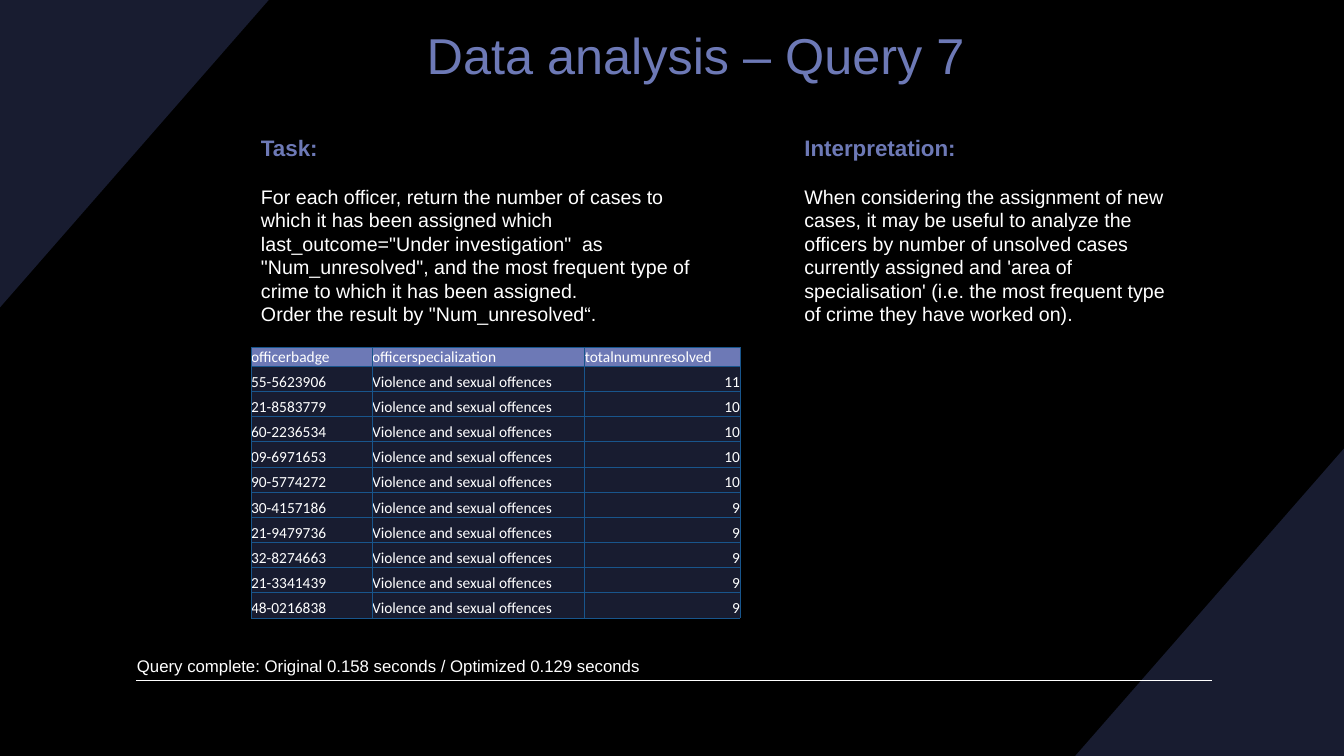
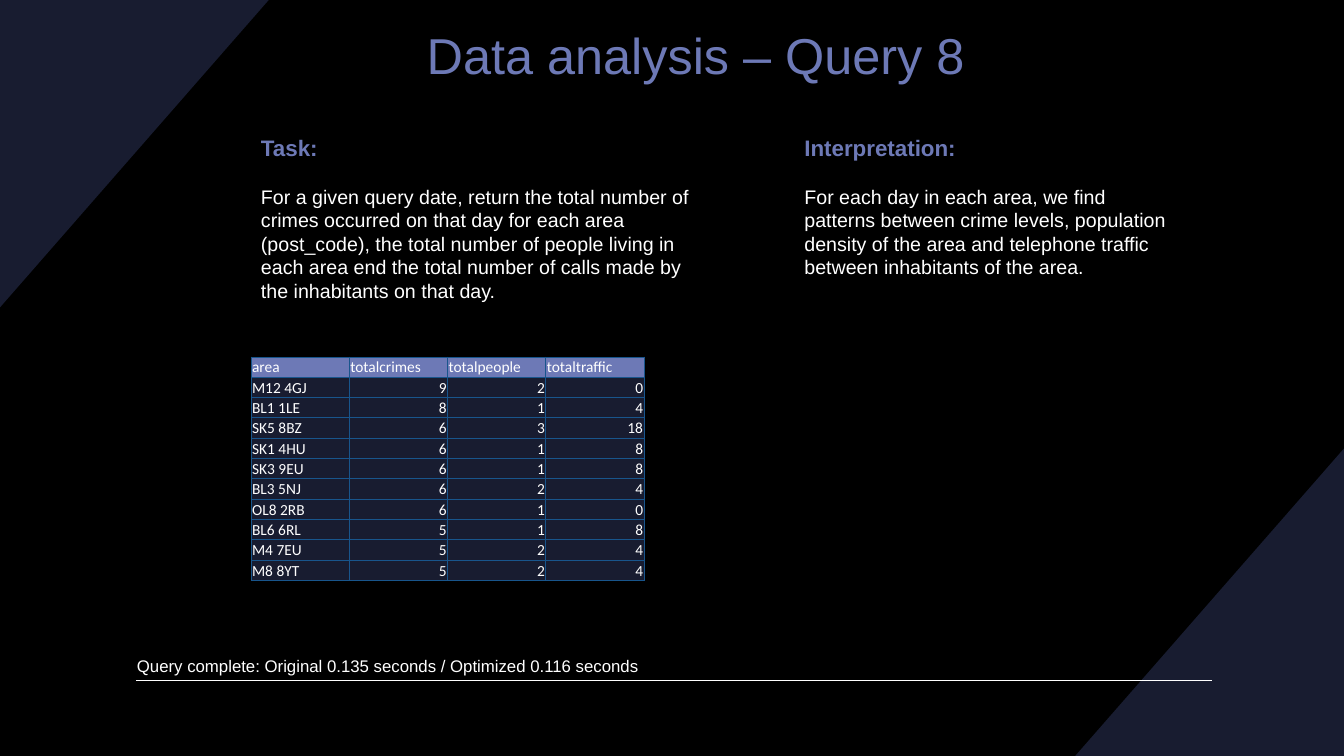
from dataclasses import dataclass

from lxml.etree import SubElement
from pptx import Presentation
from pptx.dml.color import RGBColor as Rgb
from pptx.enum.shapes import MSO_CONNECTOR as Conn
from pptx.enum.text import MSO_ANCHOR as Anchor
from pptx.enum.text import MSO_AUTO_SIZE as Fit
from pptx.enum.text import PP_ALIGN as Align
from pptx.oxml import parse_xml as to_xml
from pptx.oxml.ns import nsdecls, qn
from pptx.util import Inches, Pt


@dataclass(frozen=True)
class Theme:
    """Colours, fonts and type sizes."""
    back: str = "000000"
    navy: str = "181C30"
    lilac: str = "6D79B6"
    white: str = "FFFFFF"
    edge: str = "18558C"
    sans: str = "Arial"
    data: str = "Calibri"
    title: int = 36
    head: int = 16
    body: int = 14
    note: int = 12
    cell: int = 11
    gap: int = 17


LOOK = Theme()

# Text formats, applied to fonts by name
STYLES = {
    "title": dict(name=LOOK.sans, size=LOOK.title, color=LOOK.lilac),
    "head": dict(name=LOOK.sans, size=LOOK.head, color=LOOK.lilac, bold=True),
    "body": dict(name=LOOK.sans, size=LOOK.body, color=LOOK.white),
    "note": dict(name=LOOK.sans, size=LOOK.note, color=LOOK.white),
    "cell": dict(name=LOOK.data, size=LOOK.cell, color=LOOK.white),
}


def style(font, kind):
    for key, val in STYLES[kind].items():
        if key == "color":
            font.color.rgb = Rgb.from_string(val)
        else:
            setattr(font, key, Pt(val) if key == "size" else val)


def paint(fill, tint):
    fill.solid()
    fill.fore_color.rgb = Rgb.from_string(tint)


class Deck:
    """Holds the file and the current slide; lengths are percent of its size."""

    def __init__(self):
        self.file = Presentation()
        self.file.slide_width = Inches(13.33)
        self.file.slide_height = Inches(7.5)
        paint(self.file.slide_master.background.fill, LOOK.back)

    def x(self, part):
        return round(self.file.slide_width * part / 100)

    def y(self, part):
        return round(self.file.slide_height * part / 100)

    def area(self, left, top, wide, high):
        return self.x(left), self.y(top), self.x(wide), self.y(high)

    def start(self, title):
        """Add a slide with corners, rule and title."""
        self.slide = self.file.slides.add_slide(self.file.slide_layouts[5])
        self.shapes = self.slide.shapes
        corner = [(100, 59.33), (100, 100), (80, 100)]
        self.wedge(corner)
        self.wedge([(100 - x, 100 - y) for x, y in corner])
        self.rule(10.13, 90.17, 90)

        head = self.shapes.title
        spot = self.area(31, 2.53, 59.26, 9.47)
        for key, val in zip(("left", "top", "width", "height"), spot):
            setattr(head, key, val)
        self.fill_text(head.text_frame, [(title, "title")])

    def wedge(self, points):
        dots = [(self.x(x), self.y(y)) for x, y in points]
        pen = self.shapes.build_freeform(*dots[0], scale=1)
        pen.add_line_segments(dots[1:], close=True)
        shape = pen.convert_to_shape()
        shape.shadow.inherit = False
        paint(shape.fill, LOOK.navy)
        shape.line.fill.background()

    def rule(self, left, right, top):
        line = self.shapes.add_connector(
            Conn.STRAIGHT, self.x(left), self.y(top), self.x(right), self.y(top))
        line.line.width = Pt(1)
        line.line.color.rgb = Rgb.from_string(LOOK.white)
        SubElement(line.element.spPr, qn("a:effectLst"))

    def fill_text(self, frame, lines):
        form = dict(word_wrap=True, auto_size=Fit.SHAPE_TO_FIT_TEXT,
                    vertical_anchor=Anchor.TOP)
        for key, val in form.items():
            setattr(frame, key, val)
        last = None
        for text, kind in lines:
            para = frame.paragraphs[0] if last is None else frame.add_paragraph()
            para.alignment = Align.LEFT
            if last == "head":
                para.space_before = Pt(LOOK.gap)
            run = para.add_run()
            run.text = text
            style(run.font, kind)
            last = kind

    def text(self, spot, lines):
        box = self.shapes.add_textbox(*self.area(*spot))
        self.fill_text(box.text_frame, lines)

    def block(self, spot, head, lines):
        """A bold heading over body text."""
        self.text(spot, [(head, "head")] + [(line, "body") for line in lines])

    def table(self, top, cols, highs, rows, pad):
        spot = self.area(18.68, top, sum(cols), sum(highs))
        grid = self.shapes.add_table(len(rows), len(cols), *spot).table
        grid.first_row = grid.horz_banding = False
        for col, wide in zip(grid.columns, cols):
            col.width = self.x(wide)
        for row, high in zip(grid.rows, highs):
            row.height = self.y(high)
        for r, row in enumerate(rows):
            for c, val in enumerate(row):
                self.cell(grid.cell(r, c), val, LOOK.navy if r else LOOK.lilac, pad)

    def cell(self, cell, val, tint, pad):
        form = dict(margin_left=pad, margin_right=pad, margin_top=pad,
                    margin_bottom=0, vertical_anchor=Anchor.BOTTOM)
        for key, part in form.items():
            setattr(cell, key, part)
        para = cell.text_frame.paragraphs[0]
        para.alignment = Align.RIGHT if isinstance(val, int) else Align.LEFT
        run = para.add_run()
        run.text = str(val)
        style(run.font, "cell")
        paint(cell.fill, tint)
        # Cell borders come ahead of the fill
        props = cell._tc.get_or_add_tcPr()
        for i, side in enumerate("LRTB"):
            props.insert(i, to_xml(
                f'<a:ln{side} {nsdecls("a")} w="{Pt(0.5)}"><a:solidFill>'
                f'<a:srgbClr val="{LOOK.edge}"/></a:solidFill></a:ln{side}>'))


# Table data
CRIME = "Violence and sexual offences"
CASES = [("55-5623906", 11), ("21-8583779", 10), ("60-2236534", 10),
         ("09-6971653", 10), ("90-5774272", 10), ("30-4157186", 9),
         ("21-9479736", 9), ("32-8274663", 9), ("21-3341439", 9),
         ("48-0216838", 9)]
AREAS = [("M12 4GJ", 9, 2, 0), ("BL1 1LE", 8, 1, 4), ("SK5 8BZ", 6, 3, 18),
         ("SK1 4HU", 6, 1, 8), ("SK3 9EU", 6, 1, 8), ("BL3 5NJ", 6, 2, 4),
         ("OL8 2RB", 6, 1, 0), ("BL6 6RL", 5, 1, 8), ("M4 7EU", 5, 2, 4),
         ("M8 8YT", 5, 2, 4)]

# One entry per slide
QUERIES = [
    dict(
        num=7, wide=35.48, times=("0.158", "0.129"),
        task=['For each officer, return the number of cases to which it has been '
              'assigned which last_outcome="Under investigation"  as '
              '"Num_unresolved", and the most frequent type of crime to which it '
              'has been assigned.',
              'Order the result by "Num_unresolved“.'],
        sense="When considering the assignment of new cases, it may be useful to "
              "analyze the officers by number of unsolved cases currently assigned "
              "and 'area of specialisation' (i.e. the most frequent type of crime "
              "they have worked on).",
        table=dict(
            top=46, cols=[9, 15.83, 11.55], highs=[2.27] + [3.33] * 10, pad=0,
            rows=[("officerbadge", "officerspecialization", "totalnumunresolved")]
            + [(badge, CRIME, count) for badge, count in CASES]),
    ),
    dict(
        num=8, wide=34.06, times=("0.135", "0.116"),
        task=["For a given query date, return the total number of crimes occurred "
              "on that day for each area (post_code), the total number of people "
              "living in each area end the total number of calls made by the "
              "inhabitants on that day."],
        sense="For each day in each area, we find patterns between crime levels, "
              "population density of the area and telephone traffic between "
              "inhabitants of the area.",
        table=dict(
            top=47.2, cols=[7.31] * 4, highs=[2.69] * 11, pad=Inches(0.01),
            rows=[("area", "totalcrimes", "totalpeople", "totaltraffic")] + AREAS),
    ),
]


def main():
    deck = Deck()
    for query in QUERIES:
        deck.start(f"Data analysis – Query {query['num']}")
        deck.block((18.68, 17.07, query["wide"], 23.73), "Task:", query["task"])
        deck.block((59.11, 17.07, 29.26, 26.93), "Interpretation:", [query["sense"]])
        first, best = query["times"]
        deck.text((9.45, 86.13, 60.32, 4), [
            (f"Query complete: Original {first} seconds / Optimized {best} seconds",
             "note")])
        deck.table(**query["table"])
    deck.file.save("out.pptx")


if __name__ == "__main__":
    main()
